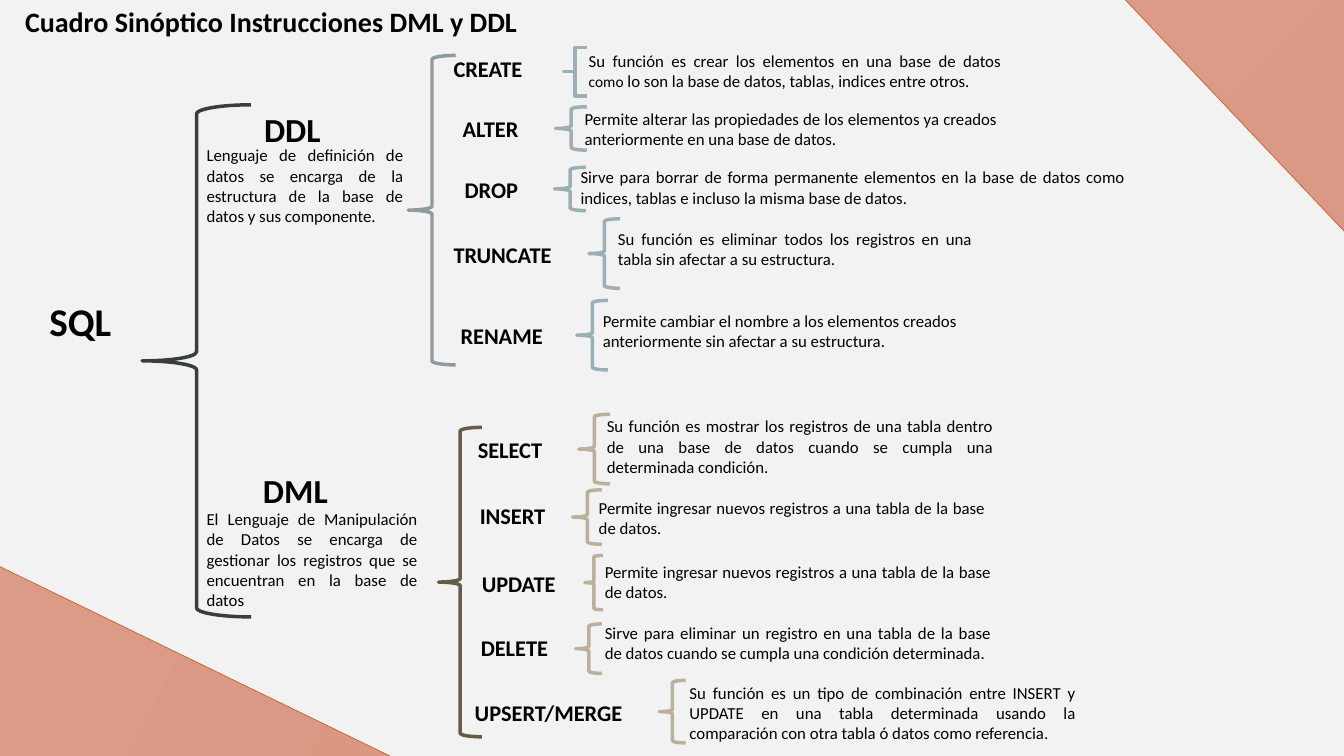
"""Build the synoptic chart of SQL DDL and DML instructions."""
from pptx import Presentation
from pptx.dml.color import RGBColor
from pptx.enum import shapes, text
from pptx.util import Inches, Pt

THEME = {
    "font": "Calibri", "ink": "000000", "background": "F2F2F2",
    "root_brace": "383E40", "brace_width": 2.5,
    "corner_fill": ("DB9C89", "DA9882"), "corner_line": "C96731", "corner_width": 0.5,
    "title": 20, "root": 28, "group": 24, "command": 16, "body": 12, "small": 11,
}

TITLE = ("Cuadro Sinóptico Instrucciones DML y DDL", (0.15, 0, 7.5, 0.44))
ROOT = ("SQL", (0.39, 2.9, 1.02, 0.57), (1.41, 1.04, 1.08, 5.08))

# Each command: name, name box (x, y, width), brace box, description box (x, y, width), description
GROUPS = [
    {
        "name": "DDL", "name_at": (2.52, 1.03, 1.02, 0.5),
        "definition": "Lenguaje de definición de datos se encarga de la estructura de la base de datos "
                      "y sus componente.",
        "definition_at": (1.95, 1.39, 2.15, 0.91),
        "brace_at": (4.05, 0.55, 0.47, 3.07), "brace": "8E9A9E", "command_brace": "9BAFB5",
        "commands": [
            ("CREATE", (4.4, 0.5, 1.17), (5.59, 0.47, 0.23, 0.48), (5.74, 0.45, 4.29),
             ("Su función es crear los elementos en una base de datos ", "como",
              " lo son la base de datos, tablas, indices entre otros.")),
            ("ALTER", (4.49, 1.09, 1.17), (5.51, 1.06, 0.31, 0.43), (5.7, 1.03, 4.29),
             ("Permite alterar las propiedades de los elementos ya creados anteriormente "
              "en una base de datos.",)),
            ("DROP", (4.51, 1.7, 1.17), (5.5, 1.66, 0.31, 0.43), (5.66, 1.61, 5.6),
             ("Sirve para borrar de forma permanente elementos en la base de datos como indices, "
              "tablas e incluso la misma base de datos.",)),
            ("TRUNCATE", (4.4, 2.34, 1.7), (5.84, 2.17, 0.31, 0.69), (6.03, 2.22, 3.71),
             ("Su función es eliminar todos los registros en una tabla sin afectar a su estructura.",)),
            ("RENAME", (4.47, 3.15, 1.57), (5.72, 2.98, 0.31, 0.69), (5.88, 3.03, 3.71),
             ("Permite cambiar el nombre a los elementos creados anteriormente "
              "sin afectar a su estructura.",)),
        ],
    },
    {
        "name": "DML", "name_at": (2.51, 4.61, 1.02, 0.5),
        "definition": "El Lenguaje de Manipulación de Datos se encarga de gestionar los registros "
                      "que se encuentran en la base de datos",
        "definition_at": (1.95, 5, 2.29, 1.11),
        "brace_at": (4.35, 4.24, 0.43, 3.07), "brace": "655B46", "command_brace": "BAB09B",
        "commands": [
            ("SELECT", (4.64, 4.28, 1.18), (5.74, 4.11, 0.31, 0.69), (5.92, 4.08, 4.03),
             ("Su función es mostrar los registros de una tabla dentro de una base de datos "
              "cuando se cumpla una determinada condición.",)),
            ("INSERT", (4.66, 4.93, 1.18), (5.68, 4.86, 0.29, 0.54), (5.84, 4.89, 4.03),
             ("Permite ingresar nuevos registros a una tabla de la base de datos.",)),
            ("UPDATE", (4.68, 5.61, 1.18), (5.8, 5.51, 0.18, 0.54), (5.9, 5.52, 4.03),
             ("Permite ingresar nuevos registros a una tabla de la base de datos.",)),
            ("DELETE", (4.67, 6.24, 1.18), (5.71, 6.19, 0.26, 0.49), (5.9, 6.13, 4.03),
             ("Sirve para eliminar un registro en una tabla de la base de datos "
              "cuando se cumpla una condición determinada.",)),
            ("UPSERT/MERGE", (4.61, 6.89, 2.12), (6.54, 6.75, 0.26, 0.62), (6.74, 6.72, 4.03),
             ("Su función es un tipo de combinación entre INSERT y UPDATE en una tabla determinada "
              "usando la comparación con otra tabla ó datos como referencia.",)),
        ],
    },
]
SQUARE_BRACE = "CREATE"
COMMAND_HEIGHT = 0.37
DESCRIPTION_HEIGHT = 0.5
CORNERS = [((0.54, 4.74, 1.73, 5.05), 295.9), ((11.9, -2.09, 1.73, 5.05), 316.6)]


def color(name):
    return RGBColor.from_string(name)


def inches(box):
    return [Inches(length) for length in box]


def write(slide, pieces, box, size, heading=True):
    frame = slide.shapes.add_textbox(*inches(box)).text_frame
    frame.word_wrap = True
    frame.auto_size = text.MSO_AUTO_SIZE.SHAPE_TO_FIT_TEXT
    paragraph = frame.paragraphs[0]
    if not heading:
        paragraph.alignment = text.PP_ALIGN.JUSTIFY
    for index, piece in enumerate(pieces):
        run = paragraph.add_run()
        run.text = piece
        if len(pieces) > 1:
            run.font.size = Pt(THEME["small"] if index % 2 else size)
    font = paragraph.font
    font.name, font.size, font.bold = THEME["font"], Pt(size), heading
    font.color.rgb = color(THEME["ink"])


def add_brace(slide, box, tint, square=False):
    brace = slide.shapes.add_shape(shapes.MSO_SHAPE.LEFT_BRACE, *inches(box))
    brace.shadow.inherit = False
    brace.fill.background()
    brace.line.color.rgb = color(tint)
    brace.line.width = Pt(THEME["brace_width"])
    if square:
        brace.adjustments[0] = 0


def add_corner(slide, box, rotation):
    corner = slide.shapes.add_shape(shapes.MSO_SHAPE.RECTANGLE, *inches(box))
    corner.shadow.inherit = False
    corner.rotation = rotation
    corner.fill.gradient()
    corner.fill.gradient_angle = 270
    for stop, tint in zip(corner.fill.gradient_stops, THEME["corner_fill"]):
        stop.color.rgb = color(tint)
    corner.line.color.rgb = color(THEME["corner_line"])
    corner.line.width = Pt(THEME["corner_width"])


def main():
    deck = Presentation()
    deck.slide_width, deck.slide_height = Inches(13.33), Inches(7.5)
    slide = deck.slides.add_slide(deck.slide_layouts[6])
    slide.background.fill.solid()
    slide.background.fill.fore_color.rgb = color(THEME["background"])

    title, title_at = TITLE
    write(slide, [title], title_at, THEME["title"])
    root, root_at, root_brace_at = ROOT
    write(slide, [root], root_at, THEME["root"])
    add_brace(slide, root_brace_at, THEME["root_brace"])

    for group in GROUPS:
        write(slide, [group["name"]], group["name_at"], THEME["group"])
        write(slide, [group["definition"]], group["definition_at"], THEME["body"], heading=False)
        add_brace(slide, group["brace_at"], group["brace"])
        for command, command_at, brace_at, description_at, description in group["commands"]:
            write(slide, [command], (*command_at, COMMAND_HEIGHT), THEME["command"])
            add_brace(slide, brace_at, group["command_brace"], command == SQUARE_BRACE)
            write(slide, description, (*description_at, DESCRIPTION_HEIGHT), THEME["body"], heading=False)

    for box, rotation in CORNERS:
        add_corner(slide, box, rotation)
    deck.save("out.pptx")


if __name__ == "__main__":
    main()
